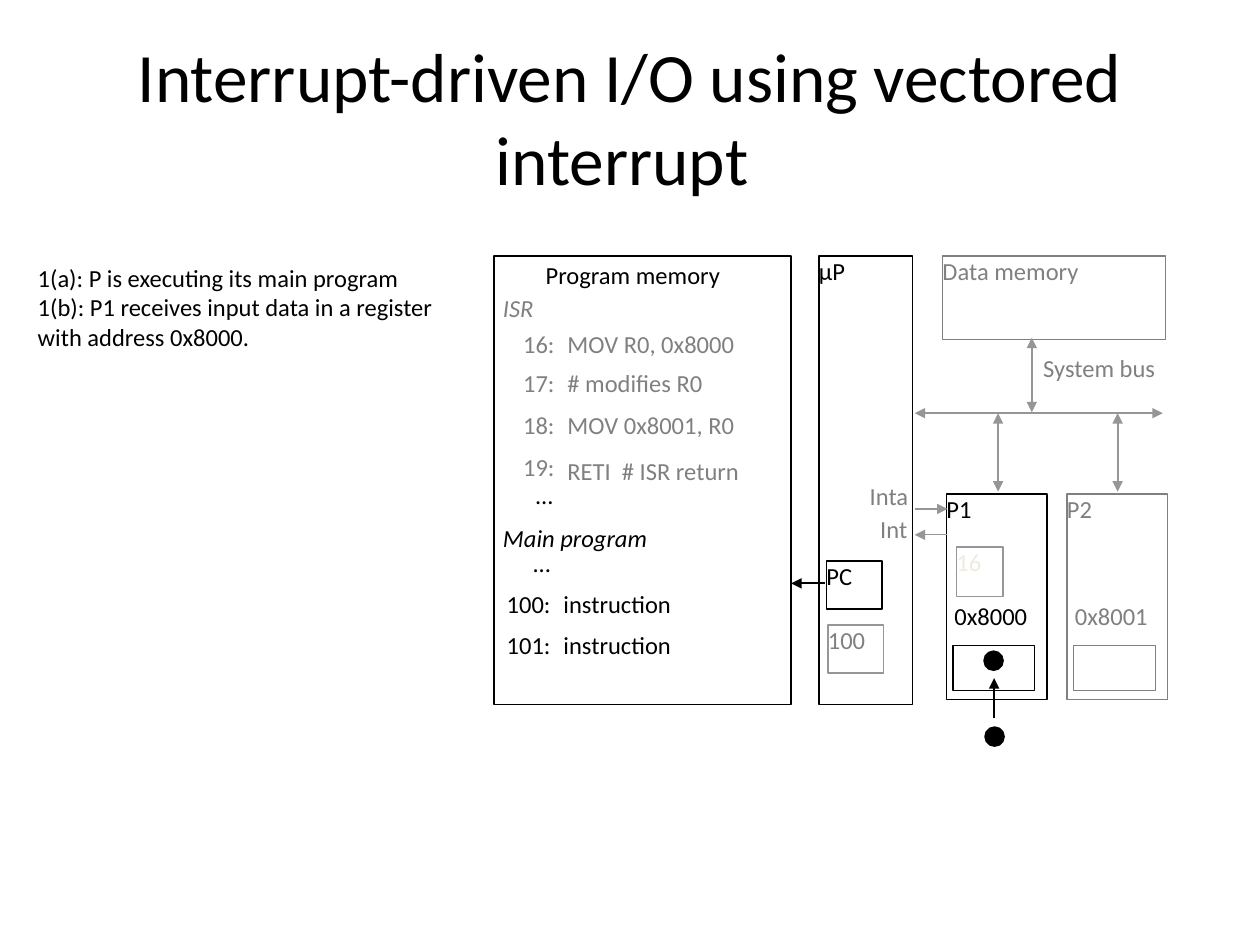
import pptx
import pptx.util
import pptx.dml.color
import pptx.enum.shapes
import pptx.enum.text
import lxml.etree

Cm, Pt = pptx.util.Cm, pptx.util.Pt
Shape = pptx.enum.shapes.MSO_SHAPE
Align = pptx.enum.text.PP_ALIGN
Anchor = pptx.enum.text.MSO_ANCHOR
FONT = "Calibri"
HUES = {"ink": "000000", "dim": "808080", "wire": "969696",
        "pale": "EEECE1", "paper": "FFFFFF"}


def rgb(hue):
    return pptx.dml.color.RGBColor.from_string(HUES[hue])


def write(para, text, hue="ink", size=14, italic=False):
    run = para.add_run()
    run.text = text
    run.font.name, run.font.size = FONT, Pt(size)
    run.font.italic = italic
    run.font.color.rgb = rgb(hue)


def strip(frame):
    """Take away the margins of a text frame."""
    frame.margin_left = frame.margin_right = 0
    frame.margin_top = frame.margin_bottom = 0


def label(slide, x, y, text, hue="ink", italic=False, right=False):
    """Put one line of text at x, which is its right edge if right is set."""
    wide = 1.5 if right else 4.4
    box = slide.shapes.add_textbox(
        Cm(x - wide if right else x), Cm(y), Cm(wide), Cm(0.85))
    frame = box.text_frame
    strip(frame)
    frame.word_wrap = True
    para = frame.paragraphs[0]
    para.alignment = Align.RIGHT if right else Align.LEFT
    write(para, text, hue, italic=italic)


def block(slide, x, y, w, h, text="", line="ink", hue="ink",
          fill="paper", kind=Shape.RECTANGLE, weight=0.75):
    item = slide.shapes.add_shape(kind, Cm(x), Cm(y), Cm(w), Cm(h))
    item.shadow.inherit = False
    item.fill.solid()
    item.fill.fore_color.rgb = rgb(fill)
    item.line.color.rgb = rgb(line)
    item.line.width = Pt(weight)
    if text:
        frame = item.text_frame
        strip(frame)
        frame.vertical_anchor = Anchor.TOP
        frame.paragraphs[0].alignment = Align.LEFT
        write(frame.paragraphs[0], text, hue)


def arrow(slide, x1, y1, x2, y2, hue="wire", weight=1.25, both=False):
    wire = slide.shapes.add_connector(
        pptx.enum.shapes.MSO_CONNECTOR.STRAIGHT, Cm(x1), Cm(y1), Cm(x2), Cm(y2))
    wire.line.color.rgb = rgb(hue)
    wire.line.width = Pt(weight)
    ns = "{http://schemas.openxmlformats.org/drawingml/2006/main}"
    ln = wire.line._get_or_add_ln()
    for end in ("headEnd", "tailEnd") if both else ("tailEnd",):
        lxml.etree.SubElement(ln, ns + end, type="triangle")
    lxml.etree.SubElement(wire._element.spPr, ns + "effectLst")


def head(slide, x, y, w, h):
    title = slide.shapes.title
    title.left, title.top, title.width, title.height = Cm(x), Cm(y), Cm(w), Cm(h)
    frame = title.text_frame
    frame.auto_size = pptx.enum.text.MSO_AUTO_SIZE.NONE
    frame.vertical_anchor = Anchor.MIDDLE
    frame.paragraphs[0].alignment = Align.CENTER
    write(frame.paragraphs[0],
          "Interrupt-driven I/O using vectored interrupt ", size=39.6)


def steps(slide, x, y, w, h):
    frame = slide.shapes.add_textbox(Cm(x), Cm(y), Cm(w), Cm(h)).text_frame
    strip(frame)
    frame.word_wrap = True
    write(frame.paragraphs[0], "1(a): P is executing its main program")
    write(frame.add_paragraph(),
          "1(b): P1 receives input data in a register with address 0x8000.")


def program(slide, x, y, w, h):
    block(slide, x, y, w, h)
    label(slide, x + 1.04, y + 0.08, "Program memory")
    label(slide, x + 0.18, y + 0.74, "ISR", "dim", italic=True)
    label(slide, x + 0.18, y + 5.38, "Main program", italic=True)
    for dx, dy in ((1.2, 4.52), (1.15, 5.89)):
        label(slide, x + dx, y + dy, "...", right=True)
    rows = (
        (1.22, 1.47, 1.47, "16:", "MOV R0, 0x8000", "dim"),
        (1.22, 2.26, 2.26, "17:", "# modifies R0", "dim"),
        (1.22, 3.1, 3.1, "18:", "MOV 0x8001, R0", "dim"),
        (1.22, 3.96, 4.04, "19:", "RETI  # ISR return", "dim"),
        (1.14, 6.71, 6.71, "100:", "instruction", "ink"),
        (1.14, 7.54, 7.54, "101:", "instruction", "ink"),
    )
    for edge, top, drop, mark, code, hue in rows:
        label(slide, x + edge, y + top, mark, hue, right=True)
        label(slide, x + edge + 0.26, y + drop, code, hue)


def cpu(slide, x, y, w, h):
    block(slide, x, y, w, h, "μP")
    block(slide, x + 0.15, y + 6.15, 1.12, 0.97, "PC")
    block(slide, x + 0.18, y + 7.44, 1.12, 0.97, "100", "wire", "dim")
    arrow(slide, x + 0.13, y + 6.6, x - 0.56, y + 6.6, "ink")


def device(slide, x, y, w, h, name, code, hue):
    """Draw a peripheral with its data register."""
    block(slide, x, y, w, h, name, hue, hue)
    label(slide, x + 0.16, y + 2.15, code, hue)
    block(slide, x + 0.13, y + 3.05, 1.65, 0.91, line=hue)


def signals(slide, x, y, w, h):
    """Draw the interrupt lines across the gap beside the processor."""
    label(slide, x - 0.13, y - 0.56, "Inta", "dim", right=True)
    label(slide, x - 0.15, y + 0.1, "Int", "dim", right=True)
    arrow(slide, x, y, x + w, y, weight=0.75)
    arrow(slide, x + w, y + h, x, y + h, weight=0.75)


def bus(slide, x, y, w, h):
    """Draw the system bus, with data memory above and drops below it."""
    block(slide, x + 0.56, y, 4.5, 1.68, "Data memory", "dim", "dim")
    label(slide, x + 2.59, y + 1.95, "System bus", "dim")
    rail = y + 3.17
    arrow(slide, x, rail, x + w, rail, both=True)
    arrow(slide, x + 2.36, y + 1.65, x + 2.36, rail - 0.02, both=True)
    for dx in (1.68, 4.09):
        arrow(slide, x + dx, rail, x + dx, y + h, both=True)


def entry(slide, x, y, w, h):
    """Draw a datum moving up into the register."""
    size = 0.38
    for dx, dy in ((0, 0), (0.02, h - size)):
        block(slide, x + dx, y + dy, size, size, fill="ink",
              kind=Shape.OVAL, weight=1)
    arrow(slide, x + w / 2, y + 1.35, x + w / 2, y + 0.54, "ink", 1)


def main():
    deck = pptx.Presentation()
    deck.slide_width, deck.slide_height = Cm(25.4), Cm(19.05)
    slide = deck.slides.add_slide(deck.slide_layouts[5])
    top = 5.16
    head(slide, 1.27, 0.76, 22.86, 3.18)
    steps(slide, 0.76, 5.3, 8.4, 1.9)
    program(slide, 9.96, top, 5.99, 9.04)
    cpu(slide, 16.51, top, 1.88, 9.04)
    bus(slide, 18.44, top, 5, 4.75)
    device(slide, 19.08, 9.96, 2.03, 4.14, "P1", "0x8000", "ink")
    device(slide, 21.51, 9.96, 2.03, 4.14, "P2", "0x8001", "dim")
    block(slide, 19.28, 11.03, 0.94, 0.99, "16", "wire", "pale")
    signals(slide, 18.44, 10.26, 0.66, 0.52)
    entry(slide, 19.84, 13.13, 0.4, 1.91)
    deck.save("out.pptx")


if __name__ == "__main__":
    main()
